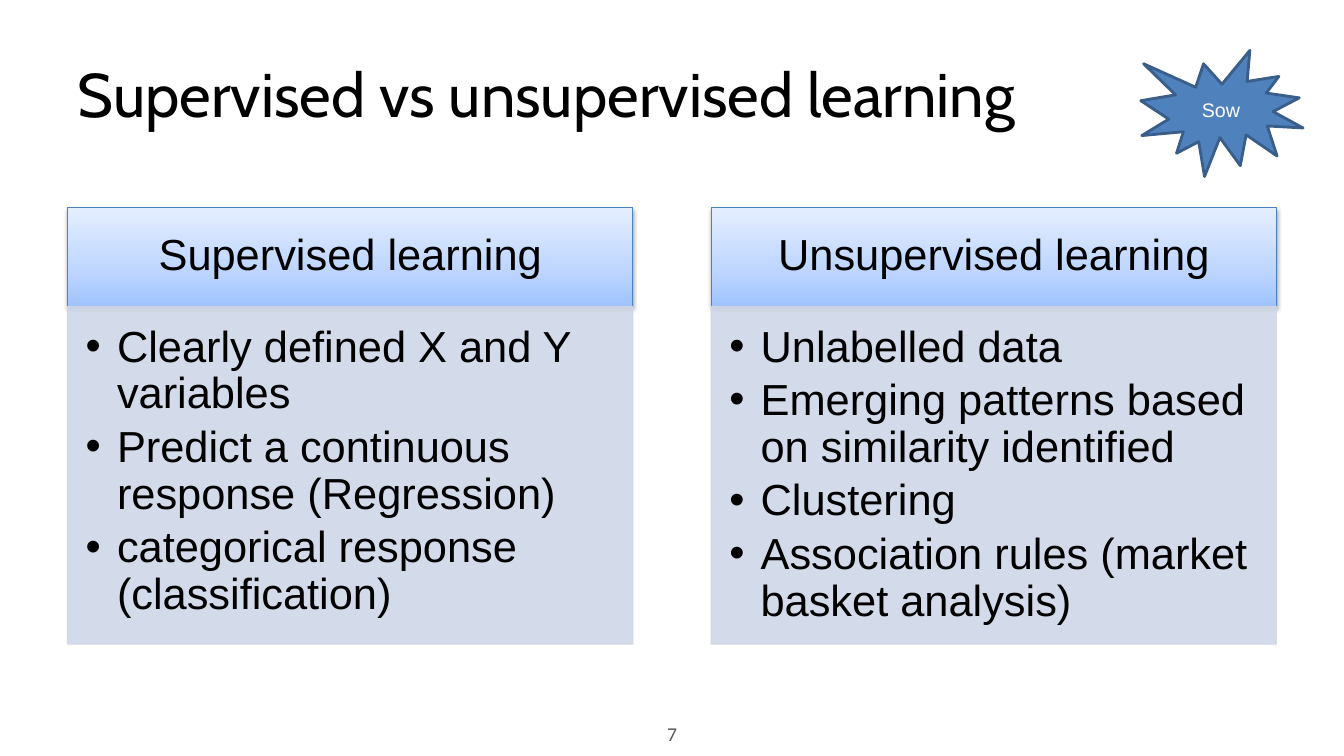
"""Build a slide comparing supervised and unsupervised learning."""
from lxml import etree
from pptx import Presentation
from pptx.dml.color import RGBColor
from pptx.enum.shapes import MSO_SHAPE
from pptx.enum.text import MSO_ANCHOR, MSO_AUTO_SIZE, PP_ALIGN
from pptx.oxml import parse_xml
from pptx.oxml.ns import qn
from pptx.util import Cm, Pt

RECTANGLE, BURST = MSO_SHAPE.RECTANGLE, MSO_SHAPE.EXPLOSION1
TOP, MIDDLE = MSO_ANCHOR.TOP, MSO_ANCHOR.MIDDLE
LEFT, CENTER = PP_ALIGN.LEFT, PP_ALIGN.CENTER

TITLE = "Supervised vs unsupervised learning"
PAGE_NUMBER = "7"
BADGE = "Sow"
COLUMNS = [
    ("Supervised learning", [
        "Clearly defined X and Y variables",
        "Predict a continuous response (Regression)",
        "categorical response (classification)",
    ]),
    ("Unsupervised learning", [
        "Unlabelled data",
        "Emerging patterns based on similarity identified",
        "Clustering",
        "Association rules (market basket analysis)",
    ]),
]
HEADING_STOPS = [(0, "9FC3FF"), (35, "BDD5FF"), (100, "E4EEFF")]
BLUE, DARK_BLUE, PALE_BLUE = "4F81BD", "395E89", "CFD7E7"
BLACK, GREY, WHITE = "000000", "595959", "FFFFFF"

SLIDE_WIDTH, SLIDE_HEIGHT = 33.87, 19.05
MARGIN, COLUMN_WIDTH = 1.7, 14.25
COLUMN_STEP = SLIDE_WIDTH - 2 * MARGIN - COLUMN_WIDTH
HEADING_TOP, HEADING_HEIGHT, BODY_HEIGHT = 5.23, 2.49, 8.51
BODY_TOP = HEADING_TOP + HEADING_HEIGHT
INDENT = 0.79
PLAIN_INSETS = (0.25, 0.13, 0.25, 0.13)
HEADING_INSETS = (0.61, 0.36, 0.61, 0.36)
BODY_INSETS = (0.46, 0.46, 0.61, 0.69)
DRAWING_NS = 'xmlns:a="http://schemas.openxmlformats.org/drawingml/2006/main"'


def color(value):
    return RGBColor.from_string(value)


def write(shape, lines, font, size, ink, align, anchor=MIDDLE, insets=PLAIN_INSETS):
    frame = shape.text_frame
    frame.text = "\n".join(lines)
    frame.word_wrap = True
    frame.auto_size = MSO_AUTO_SIZE.NONE
    frame.vertical_anchor = anchor
    (frame.margin_left, frame.margin_top,
     frame.margin_right, frame.margin_bottom) = map(Cm, insets)
    for paragraph in frame.paragraphs:
        paragraph.alignment = align
        for run in paragraph.runs:
            run.font.name, run.font.size = font, Pt(size)
            run.font.color.rgb = color(ink)
    return frame.paragraphs


def add_panel(slide, kind, box, fill, line, weight):
    panel = slide.shapes.add_shape(kind, *map(Cm, box))
    panel.shadow.inherit = False
    panel.fill.solid()
    panel.fill.fore_color.rgb = color(fill)
    panel.line.color.rgb = color(line)
    panel.line.width = Pt(weight)
    return panel


def add_heading(slide, left, heading):
    panel = add_panel(slide, RECTANGLE, (left, HEADING_TOP, COLUMN_WIDTH, HEADING_HEIGHT),
                      BLUE, BLUE, 0.75)
    stops = "".join(f'<a:gs pos="{place * 1000}"><a:srgbClr val="{value}"/></a:gs>'
                    for place, value in HEADING_STOPS)
    properties = panel.element.spPr
    properties.replace(properties.find(qn("a:solidFill")), parse_xml(
        f'<a:gradFill {DRAWING_NS} rotWithShape="1"><a:gsLst>{stops}</a:gsLst>'
        '<a:lin ang="16200000" scaled="0"/></a:gradFill>'))
    properties.find(qn("a:effectLst")).append(parse_xml(
        f'<a:outerShdw {DRAWING_NS} blurRad="40000" dist="20000" dir="5400000" '
        f'rotWithShape="0"><a:srgbClr val="{BLACK}"><a:alpha val="38000"/>'
        '</a:srgbClr></a:outerShdw>'))
    for paragraph in write(panel, [heading], "Arial", 31, BLACK, CENTER,
                           insets=HEADING_INSETS):
        paragraph.line_spacing = 0.9


def add_body(slide, left, points):
    panel = add_panel(slide, RECTANGLE, (left, BODY_TOP, COLUMN_WIDTH, BODY_HEIGHT),
                      PALE_BLUE, PALE_BLUE, 0.75)
    for tint in panel.element.spPr.iter(qn("a:srgbClr")):
        etree.SubElement(tint, qn("a:alpha"), val="90000")
    paragraphs = write(panel, points, "Arial", 31, BLACK, LEFT, TOP, BODY_INSETS)
    for position, paragraph in enumerate(paragraphs):
        paragraph.line_spacing = 0.9
        paragraph.space_before = Pt(4.7 if position else 0)
        properties = paragraph._p.get_or_add_pPr()
        properties.set("marL", str(Cm(INDENT)))
        properties.set("indent", str(-Cm(INDENT)))
        bullet_color = etree.SubElement(properties, qn("a:buClr"))
        etree.SubElement(bullet_color, qn("a:srgbClr"), val=BLACK)
        etree.SubElement(properties, qn("a:buFont"), typeface="Arial")
        etree.SubElement(properties, qn("a:buChar"), char="•")


def main():
    presentation = Presentation()
    presentation.slide_width, presentation.slide_height = Cm(SLIDE_WIDTH), Cm(SLIDE_HEIGHT)
    slide = presentation.slides.add_slide(presentation.slide_layouts[5])

    title = slide.shapes.title
    title.left, title.top, title.width, title.height = map(
        Cm, (MARGIN, 0.76, SLIDE_WIDTH - 2 * MARGIN, 3.18))
    write(title, [TITLE], "Cabin", 44, BLACK, LEFT)

    page = slide.shapes.add_textbox(*map(Cm, (11.58, 17.98, 10.72, 1.02)))
    write(page, [PAGE_NUMBER], "Calibri", 14, GREY, CENTER)

    for position, (heading, points) in enumerate(COLUMNS):
        left = MARGIN + position * COLUMN_STEP
        add_heading(slide, left, heading)
        add_body(slide, left, points)

    badge = add_panel(slide, BURST, (28.75, 1.27, 4.09, 3.18), BLUE, DARK_BLUE, 2)
    write(badge, [BADGE], "Arial", 14, WHITE, CENTER)

    presentation.save("out.pptx")


if __name__ == "__main__":
    main()
